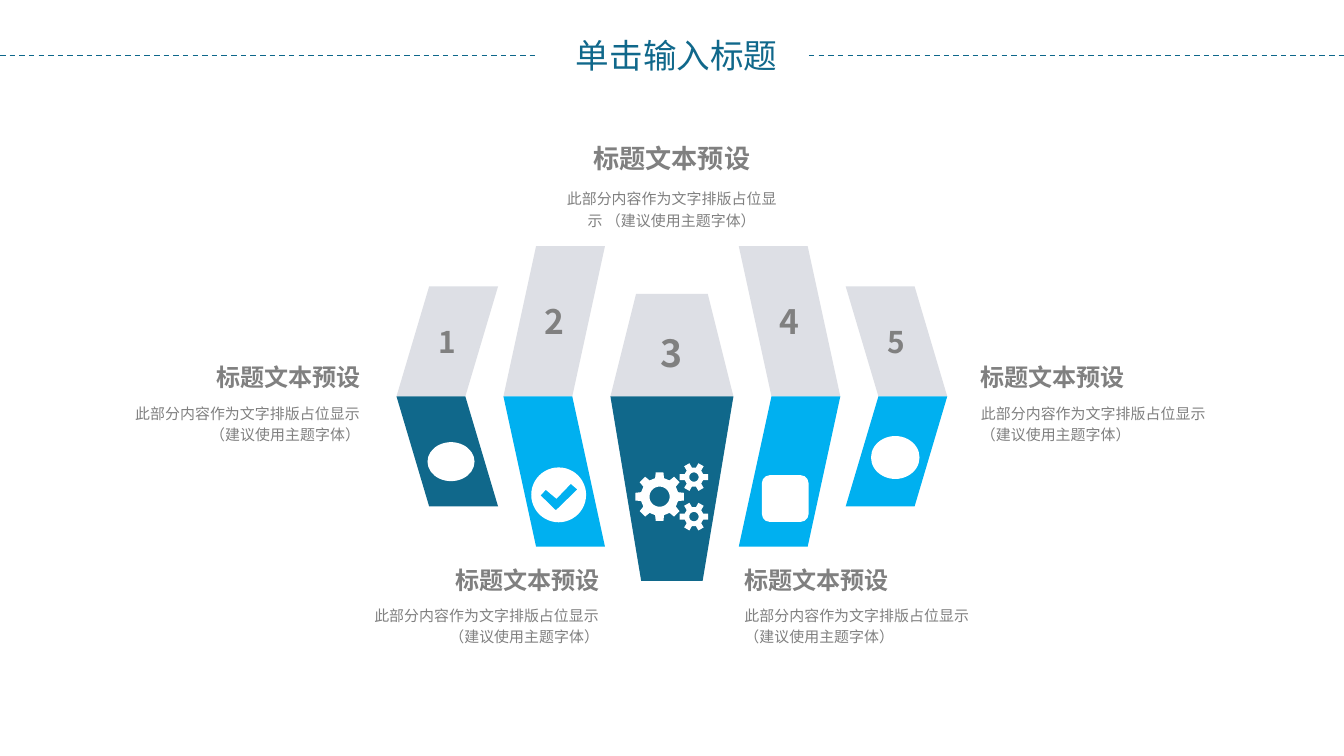
from dataclasses import dataclass
from math import cos, pi, sin

from lxml.etree import SubElement
from pptx import Presentation
from pptx.dml.color import RGBColor
from pptx.enum.dml import MSO_LINE
from pptx.enum.shapes import MSO_CONNECTOR, MSO_SHAPE as Preset
from pptx.enum.text import MSO_ANCHOR as Anchor, PP_ALIGN as Align
from pptx.oxml.ns import qn
from pptx.util import Pt


@dataclass(frozen=True)
class Theme:
    """Colours, font and type sizes of the slide."""
    teal: str = "10688B"
    rule: str = "0D678B"
    sky: str = "00B0F0"
    pale: str = "DDDFE5"
    grey: str = "808080"
    white: str = "FFFFFF"
    font: str = "Noto Sans CJK SC"
    title: float = 18
    heading: float = 12.9
    top_heading: float = 14
    body: float = 8


THEME = Theme()
HEADING = "标题文本预设"
BODY = ("此部分内容作为文字排版占位显示", "（建议使用主题字体）")
SEAM, GAP, SKEW = 212.4, 2.9, 0.322


def write(frame, lines, size, color, bold=False, align=Align.LEFT, spacing=None):
    """Fill a text frame with one paragraph whose lines are separate runs."""
    paragraph = frame.paragraphs[0]
    paragraph.alignment = align
    if spacing:
        paragraph.line_spacing = spacing
    for index, line in enumerate(lines):
        if index:
            paragraph.add_line_break()
        run = paragraph.add_run()
        run.text = line
        run.font.size, run.font.bold, run.font.name = Pt(size), bold, THEME.font
        run.font.color.rgb = RGBColor.from_string(color)
        SubElement(run.font._element, qn("a:ea"), typeface=THEME.font)


def add_text(slide, box, lines, size, color, inset=(0, 0), wrap=False,
             anchor=Anchor.TOP, **style):
    """Add a text box with the given horizontal and vertical insets."""
    frame = slide.shapes.add_textbox(*map(Pt, box)).text_frame
    frame.margin_left = frame.margin_right = Pt(inset[0])
    frame.margin_top = frame.margin_bottom = Pt(inset[1])
    frame.word_wrap, frame.vertical_anchor = wrap, anchor
    write(frame, lines, size, color, **style)


def paint(shape, color):
    """Give a shape a flat fill without outline or shadow."""
    shape.fill.solid()
    shape.fill.fore_color.rgb = RGBColor.from_string(color)
    shape.line.fill.background()
    shape.shadow.inherit = False


def add_preset(slide, preset, box, color, flips=(), adjust=None):
    """Add a flat preset shape, mirrored along the named axes."""
    shape = slide.shapes.add_shape(preset, *map(Pt, box))
    paint(shape, color)
    if adjust is not None:
        shape.adjustments[0] = adjust
    for axis in flips:
        shape._element.spPr.xfrm.set("flip" + axis, "1")
    return shape


def add_rule(slide, start, end, y):
    """Add a dashed horizontal rule."""
    rule = slide.shapes.add_connector(
        MSO_CONNECTOR.STRAIGHT, Pt(start), Pt(y), Pt(end), Pt(y))
    rule.line.color.rgb = RGBColor.from_string(THEME.rule)
    rule.line.width, rule.line.dash_style = Pt(0.75), MSO_LINE.DASH
    SubElement(rule._element.spPr, qn("a:effectLst"))


def polar(x, y, radius, angle):
    """Return the point at a radius and angle around a centre."""
    return x + radius * cos(angle), y + radius * sin(angle)


def circle(x, y, radius, steps=48):
    """Return the outline of a circle."""
    return [polar(x, y, radius, 2 * pi * step / steps) for step in range(steps)]


def gear(x, y, outer, root, teeth):
    """Return the outline of a gear."""
    pitch = 2 * pi / teeth
    profile = ((root, -0.3), (outer, -0.2), (outer, 0.2), (root, 0.3))
    return [polar(x, y, radius, (tooth + offset) * pitch)
            for tooth in range(teeth) for radius, offset in profile]


def add_icon(slide, contours, color):
    """Add one freeform whose inner contours are holes."""
    builder = None
    for contour in contours:
        start, *rest = [(Pt(x), Pt(y)) for x, y in contour]
        if builder is None:
            builder = slide.shapes.build_freeform(*start, scale=1.0)
        else:
            builder.move_to(*start)
        builder.add_line_segments(rest, close=True)
    paint(builder.convert_to_shape(), color)


def add_column(slide, number, left, width, rise, drop, size, color):
    """Add a numbered upper panel and the coloured panel below it."""
    middle = number == 3
    preset = Preset.TRAPEZOID if middle else Preset.PARALLELOGRAM
    adjust = None if middle else SKEW
    flips = ("H",) if number > 3 else ()
    upper = add_preset(slide, preset, (left, SEAM - rise, width, rise),
                       THEME.pale, flips, adjust)
    upper.text_frame.word_wrap = False
    upper.text_frame.vertical_anchor = Anchor.MIDDLE
    write(upper.text_frame, [str(number)], size, THEME.grey, True, Align.CENTER)
    add_preset(slide, preset, (left, SEAM, width, drop), color,
               (*flips, "V"), adjust)


def add_caption(slide, left, top, width, align):
    """Add a side heading with its two-line description."""
    add_text(slide, (left, top, width, 14.4), [HEADING], THEME.heading,
             THEME.grey, (5.67, 0), bold=True, align=align)
    add_text(slide, (left, top + 14.4, width, 34.6), BODY, THEME.body, THEME.grey,
             (5.67, 0), True, Anchor.MIDDLE, align=align, spacing=1.2)


def add_icons(slide):
    """Add the white symbols on the lower panels."""
    for preset, box in ((Preset.OVAL, (229, 236.9, 25.2, 20.9)),
                        (Preset.ROUNDED_RECTANGLE, (408.2, 254.6, 25, 25)),
                        (Preset.OVAL, (466.6, 233.6, 26, 23))):
        add_preset(slide, preset, box, THEME.white)
    check = [(289.6, 265.4), (292.4, 262.4), (298.1, 267.2),
             (305.8, 259.2), (309.3, 262.2), (297.8, 273.4)]
    add_icon(slide, [circle(299.3, 265.1, 14.7), check], THEME.white)
    gears = ((353.4, 266.1, 13.2, 10.2, 8, 5.4),
             (371.8, 255.6, 7.8, 5.2, 6, 2.5),
             (371.8, 276.8, 7.8, 5.2, 6, 2.5))
    add_icon(slide, [contour for x, y, outer, root, teeth, hole in gears
                     for contour in (gear(x, y, outer, root, teeth),
                                     circle(x, y, hole))], THEME.white)


def main():
    """Build the slide and save it."""
    deck = Presentation()
    deck.slide_width, deck.slide_height = Pt(720), Pt(405)
    slide = deck.slides.add_slide(deck.slide_layouts[6])

    add_text(slide, (303.1, 15.8, 120.2, 27.4), ["单击输入标题"], THEME.title,
             THEME.teal, (5.4, 2.7))
    for start, end in ((0, 286.6), (433.4, 720)):
        add_rule(slide, start, end, 29.7)

    for caption in ((56.9, 194.4, 141.8, Align.RIGHT),
                    (519.8, 194.4, 145.4, Align.LEFT),
                    (393.1, 302.8, 145.4, Align.LEFT),
                    (185, 302.8, 141.8, Align.RIGHT)):
        add_caption(slide, *caption)
    add_text(slide, (300.2, 92.9, 119.5, 36.7), [" ".join(BODY)], THEME.body,
             THEME.grey, wrap=True, anchor=Anchor.MIDDLE, align=Align.CENTER,
             spacing=1.2)
    add_text(slide, (300.2, 74.9, 119.5, 19.4), [HEADING], THEME.top_heading,
             THEME.grey, anchor=Anchor.MIDDLE, bold=True, align=Align.CENTER)

    left = 212.4
    columns = ((54.4, 58.9, 58.9, 16, THEME.teal),
               (54.4, 80.5, 80.5, 18, THEME.sky),
               (65.9, 54.9, 98.8, 20, THEME.teal),
               (54.4, 80.5, 80.5, 18, THEME.sky),
               (54.4, 58.9, 58.9, 16, THEME.sky))
    for number, (width, *rest) in enumerate(columns, 1):
        add_column(slide, number, left, width, *rest)
        left += width + GAP
    add_icons(slide)
    deck.save("out.pptx")


main()
